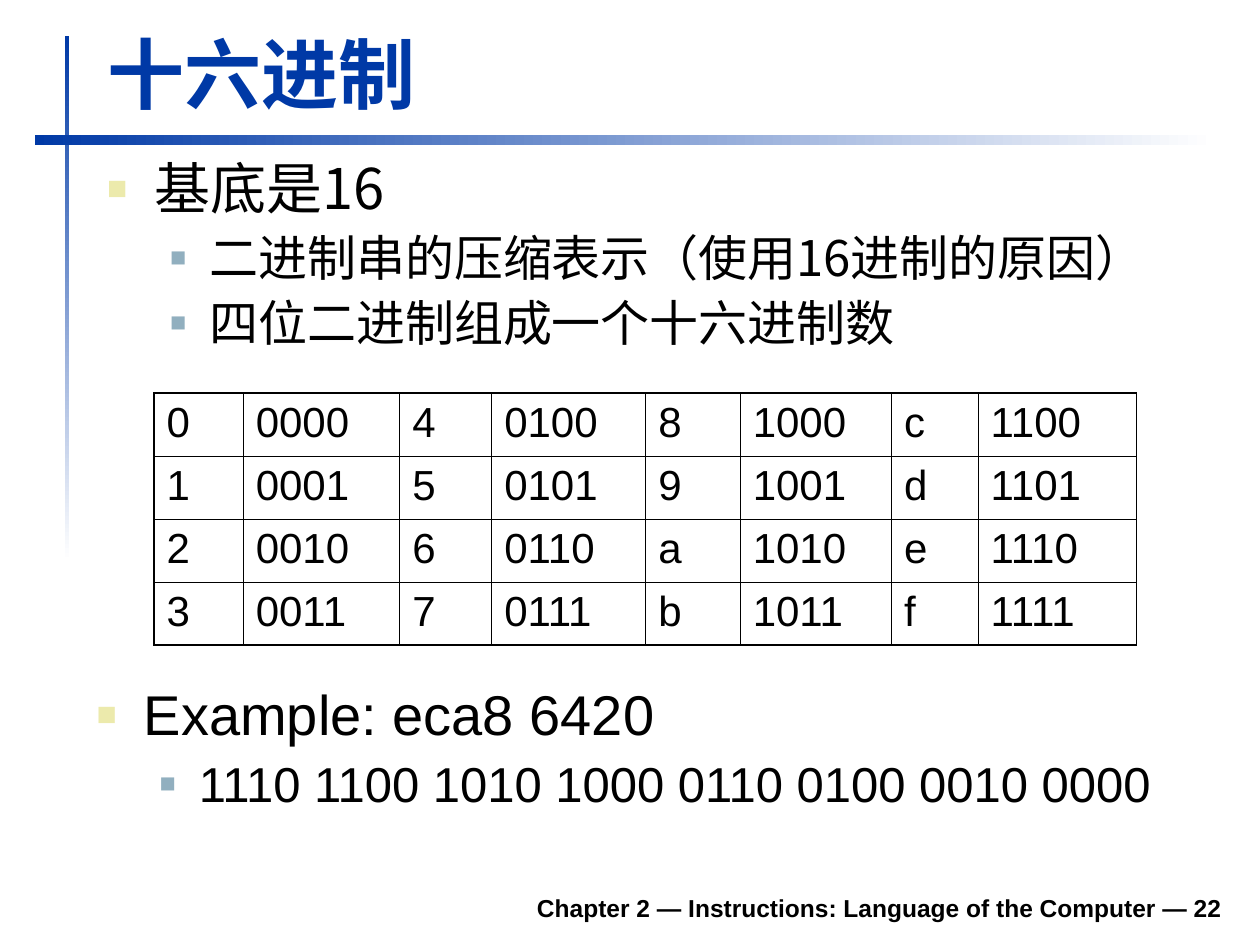
from dataclasses import dataclass
from typing import Any

from lxml.etree import SubElement
from pptx import Presentation
from pptx.dml.color import RGBColor
from pptx.enum.shapes import MSO_SHAPE
from pptx.enum.text import MSO_ANCHOR, MSO_AUTO_SIZE, PP_ALIGN
from pptx.oxml.ns import qn
from pptx.util import Pt

HUES = {"blue": "0039A6", "white": "FFFFFF", "black": "000000",
        "cream": "ECEAAC", "steel": "91AFBF"}
LATIN, HAN = "Arial", "Noto Sans CJK SC"


@dataclass(frozen=True)
class Box:
    left: float
    top: float
    width: float
    height: float

    def pts(self) -> tuple:
        return Pt(self.left), Pt(self.top), Pt(self.width), Pt(self.height)


@dataclass(frozen=True)
class Level:
    size: float
    before: float
    left: float
    hang: float
    hue: str
    scale: int


@dataclass(frozen=True)
class Bar:
    box: Box
    angle: int


@dataclass(frozen=True)
class Points:
    box: Box
    face: str
    lines: tuple


LEVELS = (Level(32, 8, 27, 27, "cream", 60),
          Level(28, 7, 58.5, 22.5, "steel", 55))
BARS = (Bar(Box(37, 20.5, 2.5, 300), 270),
        Bar(Box(20, 77, 674.5, 6), 0))
LISTS = (
    Points(Box(54, 88.5, 651, 124.5), HAN, (
        (0, "基底是16"),
        (1, "二进制串的压缩表示（使用16进制的原因）"),
        (1, "四位二进制组成一个十六进制数"))),
    Points(Box(48, 389, 651, 90.5), LATIN, (
        (0, "Example: eca8 6420"),
        (1, "1110 1100 1010 1000 0110 0100 0010 0000"))),
)
COLS = (51, 89.5, 52.5, 88, 54, 86.5, 49.5, 90.5)
ROWS = 4
ROW = 36


def rgb(hue: str) -> RGBColor:
    return RGBColor.from_string(HUES[hue])


def assign(item: Any, **values: Any) -> None:
    for key, value in values.items():
        setattr(item, key, value)


def write(para: Any, text: str, size: float, face: str = LATIN,
          hue: str = "black", bold: bool = False) -> None:
    run = para.add_run()
    run.text = text
    assign(run.font, size=Pt(size), name=face, bold=bold)
    run.font.color.rgb = rgb(hue)
    SubElement(run.font._element, qn("a:ea"), typeface=HAN)


def mark(para: Any, level: Level) -> None:
    """Give a paragraph the hanging square bullet of its level."""
    props = para._p.get_or_add_pPr()
    props.set("marL", str(Pt(level.left)))
    props.set("indent", str(-Pt(level.hang)))
    tint = SubElement(props, qn("a:buClr"))
    SubElement(tint, qn("a:srgbClr"), val=HUES[level.hue])
    SubElement(props, qn("a:buSzPct"), val=str(level.scale * 1000))
    SubElement(props, qn("a:buFont"), typeface=LATIN)
    SubElement(props, qn("a:buChar"), char="■")


def place(shape: Any, box: Box) -> None:
    left, top, width, height = box.pts()
    assign(shape, left=left, top=top, width=width, height=height)


def draw_bar(slide: Any, bar: Bar) -> None:
    shape = slide.shapes.add_shape(MSO_SHAPE.RECTANGLE, *bar.box.pts())
    shape.shadow.inherit = False
    shape.line.fill.background()
    shape.fill.gradient()
    shape.fill.gradient_angle = bar.angle
    for stop, hue in zip(shape.fill.gradient_stops, ("blue", "white")):
        stop.color.rgb = rgb(hue)


def fill_list(holder: Any, points: Points) -> None:
    place(holder, points.box)
    frame = holder.text_frame
    assign(frame, auto_size=MSO_AUTO_SIZE.NONE, word_wrap=True)
    for num, (depth, text) in enumerate(points.lines):
        para = frame.add_paragraph() if num else frame.paragraphs[0]
        level = LEVELS[depth]
        mark(para, level)
        assign(para, level=depth, line_spacing=0.9,
               space_before=Pt(level.before if num else 0))
        write(para, text, level.size, points.face)


def rule_cell(cell: Any, row: int, col: int) -> None:
    """Heavy outer frame, medium rules between digit pairs, thin elsewhere."""
    last = len(COLS) - 1
    sides = {
        "L": 0.45 if col % 2 else 0.75 if col else 1.08,
        "R": 1.08 if col == last else 0.75 if col % 2 else 0.45,
        "T": 0.45 if row else 1.08,
        "B": 1.08 if row == ROWS - 1 else 0.45,
    }
    props = cell._tc.get_or_add_tcPr()
    for side, width in sides.items():
        line = SubElement(props, qn(f"a:ln{side}"), w=str(Pt(width)))
        fill = SubElement(line, qn("a:solidFill"))
        SubElement(fill, qn("a:srgbClr"), val=HUES["black"])
    cell.fill.background()


def draw_table(slide: Any, box: Box) -> None:
    table = slide.shapes.add_table(ROWS, len(COLS), *box.pts()).table
    assign(table, first_row=False, horz_banding=False)
    for col, width in zip(table.columns, COLS):
        col.width = Pt(width)
    for row in range(ROWS):
        table.rows[row].height = Pt(ROW)
        for col in range(len(COLS)):
            cell = table.cell(row, col)
            digit = col // 2 * ROWS + row
            text = f"{digit:04b}" if col % 2 else f"{digit:x}"
            write(cell.text_frame.paragraphs[0], text, 24)
            rule_cell(cell, row, col)


def main() -> None:
    deck = Presentation()
    assign(deck, slide_width=Pt(720), slide_height=Pt(540))
    slide = deck.slides.add_slide(deck.slide_layouts.get_by_name("Two Content"))
    title, *bodies = list(slide.placeholders)[:3]

    for bar in BARS:
        draw_bar(slide, bar)

    place(title, Box(54, 11.5, 650, 60))
    assign(title.text_frame, vertical_anchor=MSO_ANCHOR.BOTTOM,
           auto_size=MSO_AUTO_SIZE.SHAPE_TO_FIT_TEXT, word_wrap=True)
    head = title.text_frame.paragraphs[0]
    head.alignment = PP_ALIGN.LEFT
    write(head, "十六进制", 44, hue="blue", bold=True)

    for holder, points in zip(bodies, LISTS):
        fill_list(holder, points)
    draw_table(slide, Box(88, 224.5, sum(COLS), ROWS * ROW))

    foot = slide.shapes.add_textbox(*Box(133, 502.5, 572.5, 28).pts())
    assign(foot.text_frame, vertical_anchor=MSO_ANCHOR.BOTTOM, word_wrap=True)
    para = foot.text_frame.paragraphs[0]
    para.alignment = PP_ALIGN.RIGHT
    write(para, "Chapter 2 — Instructions: Language of the Computer — 22",
          14, bold=True)

    deck.save("out.pptx")


if __name__ == "__main__":
    main()
